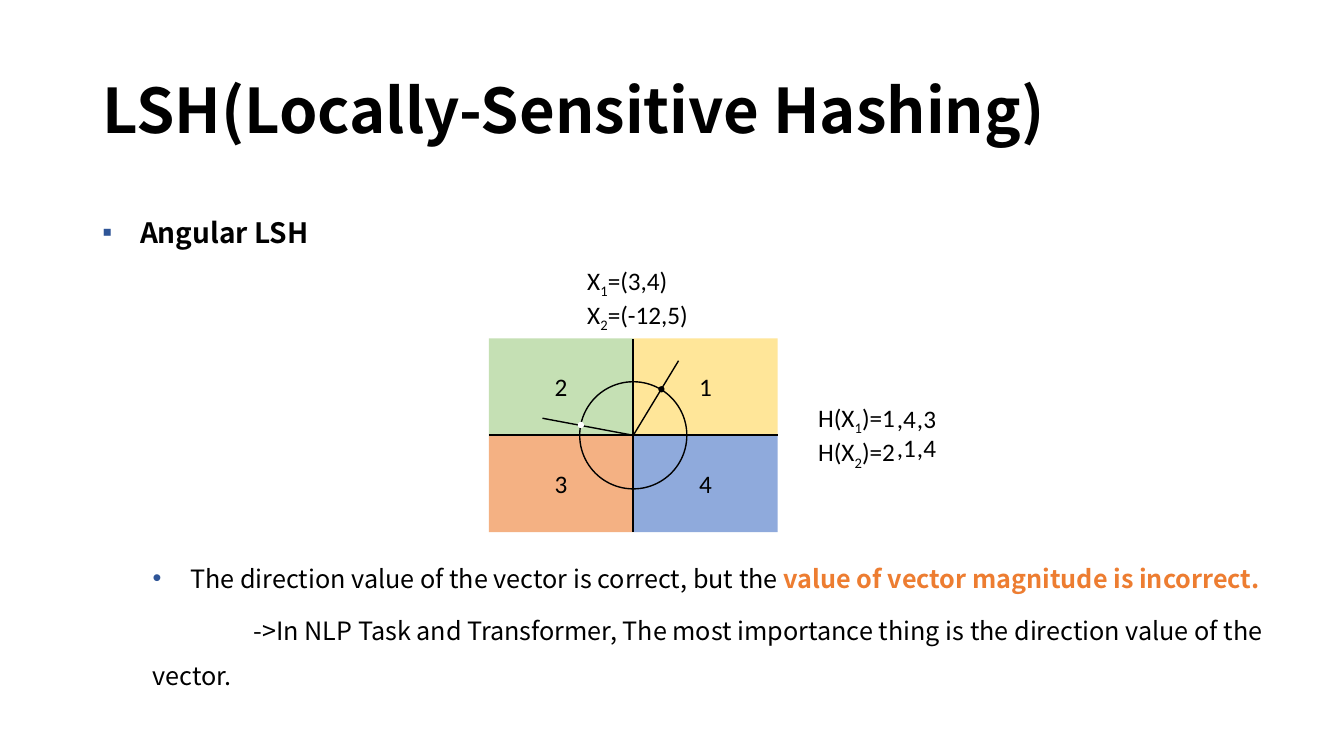
from lxml.etree import SubElement
from pptx import Presentation
from pptx.dml.color import RGBColor
from pptx.enum.shapes import MSO_CONNECTOR as CONNECTOR, MSO_SHAPE as SHAPE
from pptx.enum.text import MSO_ANCHOR as ANCHOR, PP_ALIGN as ALIGN
from pptx.oxml.ns import qn
from pptx.util import Cm, Pt

HEADING_FONT, LABEL_FONT = "Noto Sans CJK KR", "Calibri"
BLACK, WHITE, ACCENT, BULLET = "000000", "FFFFFF", "ED7D31", "2F5597"


def color(hex_code):
    return RGBColor.from_string(hex_code)


def add_run(paragraph, text, size, font=HEADING_FONT, bold=False, ink=BLACK, subscript=False):
    run = paragraph.add_run()
    run.text = text
    run.font.size = Pt(size)
    run.font.name = font
    run.font.bold = bold
    run.font.color.rgb = color(ink)
    if subscript:
        run._r.get_or_add_rPr().set("baseline", "-25000")


def add_frame(slide, left, top, width, height):
    """Add a wrapping text box, in centimetres, and return its text frame."""
    frame = slide.shapes.add_textbox(Cm(left), Cm(top), Cm(width), Cm(height)).text_frame
    frame.word_wrap = True
    return frame


def set_indent(paragraph, margin, first_line, bullet=None):
    properties = paragraph._p.get_or_add_pPr()
    properties.set("marL", str(Cm(margin)))
    properties.set("indent", str(Cm(first_line)))
    if bullet:
        bullet_color = SubElement(properties, qn("a:buClr"))
        SubElement(bullet_color, qn("a:srgbClr"), val=BULLET)
        SubElement(properties, qn("a:buFont"), typeface="Arial")
        SubElement(properties, qn("a:buChar"), char=bullet)
    paragraph.line_spacing = 1.5


def add_title(slide, left, top, width, height):
    frame = add_frame(slide, left, top, width, height)
    frame.vertical_anchor = ANCHOR.MIDDLE
    title = frame.paragraphs[0]
    title.line_spacing = 0.9
    add_run(title, "LSH(Locally-Sensitive Hashing)", 44, bold=True)


def add_topic(slide, left, top, width, height):
    topic = add_frame(slide, left, top, width, height).paragraphs[0]
    set_indent(topic, 0.95, -0.95, "▪")
    add_run(topic, "Angular LSH", 20, bold=True)


def add_conclusion(slide, left, top, width, height):
    frame = add_frame(slide, left, top, width, height)
    finding = frame.paragraphs[0]
    set_indent(finding, 2.22, -0.95, "•")
    add_run(finding, "The direction value of the vector is correct, but the ", 18)
    add_run(finding, "value of vector magnitude is incorrect.", 18, bold=True, ink=ACCENT)
    reason = frame.add_paragraph()
    set_indent(reason, 1.27, 2.54)
    reason.space_before = Pt(5)
    add_run(reason, "->In NLP Task and Transformer, The most importance thing is "
                    "the direction value of the vector.", 18)


def add_formulas(slide, left, top, width, height, before, after):
    """Write one line per vector, numbered by a subscript."""
    frame = add_frame(slide, left, top, width, height)
    for number, ending in enumerate(after, 1):
        formula = frame.paragraphs[0] if number == 1 else frame.add_paragraph()
        add_run(formula, before, 18, LABEL_FONT)
        add_run(formula, str(number), 18, LABEL_FONT, subscript=True)
        add_run(formula, ending, 18, LABEL_FONT)


def add_hashes(slide, left, top, width, height):
    add_formulas(slide, left, top, width, height, "H(X", [")=1", ")=2"])
    for row, rotations in enumerate([(",4", ",3"), (",1", ",4")]):
        for column, rotation in enumerate(rotations):
            frame = add_frame(slide, left + 1.98 + 0.51 * column,
                              top + 0.02 + 0.74 * row, 1.07, 1.02)
            add_run(frame.paragraphs[0], rotation, 18, LABEL_FONT)


def add_plain_shape(slide, kind, left, top, width, height, fill=None, line=None):
    shape = slide.shapes.add_shape(kind, Cm(left), Cm(top), Cm(width), Cm(height))
    shape.shadow.inherit = False
    if fill:
        shape.fill.solid()
        shape.fill.fore_color.rgb = color(fill)
    else:
        shape.fill.background()
    if line:
        shape.line.color.rgb = color(line)
        shape.line.width = Pt(1)
    else:
        shape.line.fill.background()
    return shape


def add_circle(slide, x, y, radius, fill=None, line=BLACK):
    add_plain_shape(slide, SHAPE.OVAL, x - radius, y - radius, 2 * radius, 2 * radius, fill, line)


def add_line(slide, x1, y1, x2, y2, weight):
    line = slide.shapes.add_connector(CONNECTOR.STRAIGHT, Cm(x1), Cm(y1), Cm(x2), Cm(y2))
    line.line.color.rgb = color(BLACK)
    line.line.width = Pt(weight)
    SubElement(line._element.spPr, qn("a:effectLst"))


def add_quadrants(slide, left, top, width, height):
    """Draw the four hash regions, the unit circle and both vectors."""
    center_x, center_y = left + width / 2, top + height / 2
    regions = [("2", "C5E0B4"), ("1", "FFE699"), ("3", "F4B183"), ("4", "8FAADC")]
    for index, (number, fill) in enumerate(regions):
        row, column = divmod(index, 2)
        region = add_plain_shape(slide, SHAPE.RECTANGLE, left + column * width / 2,
                                 top + row * height / 2, width / 2, height / 2, fill)
        region.text_frame.vertical_anchor = ANCHOR.MIDDLE
        label = region.text_frame.paragraphs[0]
        label.alignment = ALIGN.CENTER
        add_run(label, number, 18, LABEL_FONT)

    add_circle(slide, center_x, center_y, 1.35)
    add_line(slide, left, center_y, left + width, center_y, 1.5)
    add_line(slide, center_x, top, center_x, top + height, 1.5)
    vectors = [((1.14, -1.88), (0.71, -1.16), BLACK), ((-2.29, -0.43), (-1.32, -0.26), WHITE)]
    for (tip_x, tip_y), _, _ in vectors:
        add_line(slide, center_x, center_y, center_x + tip_x, center_y + tip_y, 1)
    for _, (dot_x, dot_y), ink in vectors:
        add_circle(slide, center_x + dot_x, center_y + dot_y, 0.06, ink, ink)


def main():
    deck = Presentation()
    deck.slide_width, deck.slide_height = Cm(33.87), Cm(19.05)
    slide = deck.slides.add_slide(deck.slide_layouts[6])
    add_title(slide, 2.33, 1.01, 29.21, 3.68)
    add_topic(slide, 2.33, 4.88, 30.68, 1.5)
    add_formulas(slide, 14.55, 6.55, 3.6, 1.8, "X", ["=(3,4)", "=(-12,5)"])
    add_quadrants(slide, 12.32, 8.53, 7.28, 4.88)
    add_hashes(slide, 20.37, 10.01, 3, 1.8)
    add_conclusion(slide, 2.33, 13.68, 30.68, 3.9)
    deck.save("out.pptx")


if __name__ == "__main__":
    main()
